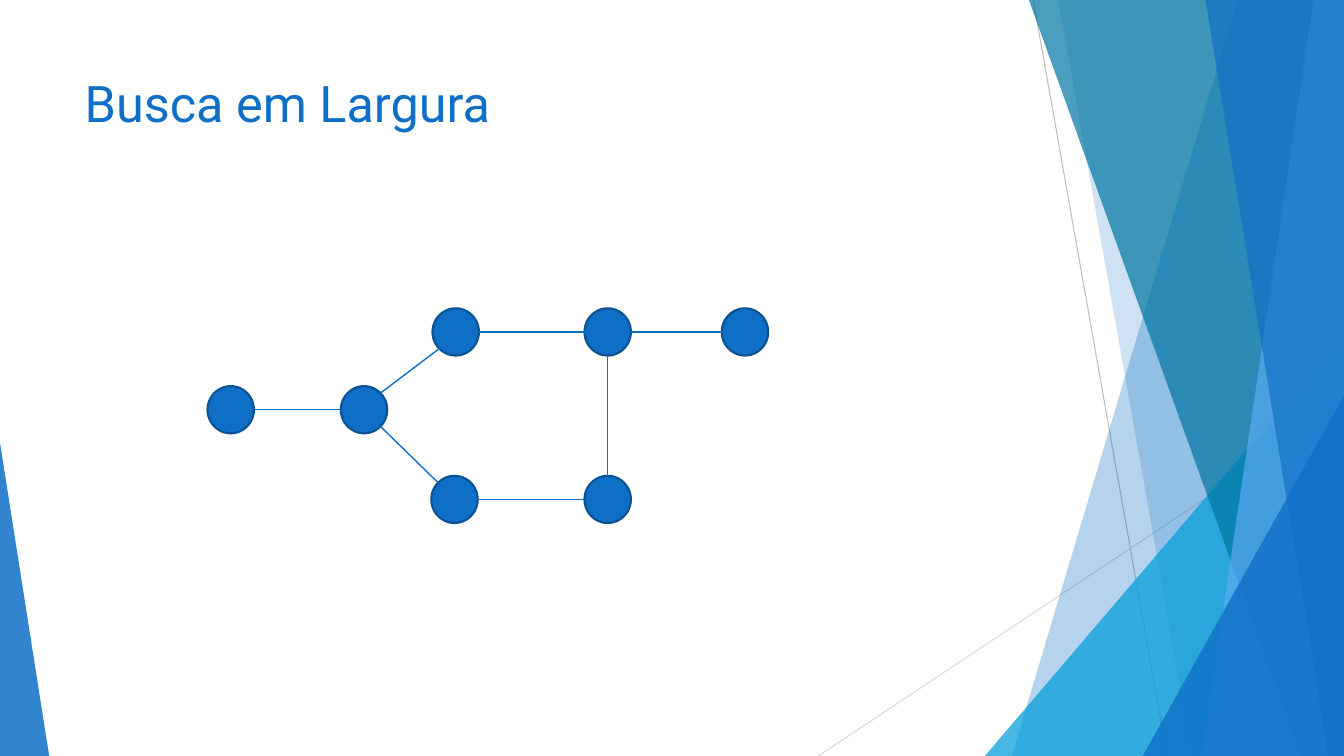
from lxml import etree
from pptx import Presentation
from pptx.dml.color import RGBColor
from pptx.enum.shapes import MSO_CONNECTOR, MSO_SHAPE
from pptx.enum.text import MSO_ANCHOR, PP_ALIGN
from pptx.oxml.ns import qn
from pptx.util import Cm, Pt

STRAIGHT = MSO_CONNECTOR.STRAIGHT
OVAL = MSO_SHAPE.OVAL
TRIANGLE = MSO_SHAPE.ISOSCELES_TRIANGLE
TOP, LEFT = MSO_ANCHOR.TOP, PP_ALIGN.LEFT

COLORS = {
    "blue": "0F6FC6", "outline": "0B5292", "cyan": "009DD9", "teal": "0076A3",
    "sky": "59AAF2", "gray": "BFBFBF", "pale": "D9D9D9",
}
WIDTH, HEIGHT = 33.87, 19.05
NODE_W, NODE_H = 1.17, 1.19

# Top left corner of each graph node, in cm
NODES = {
    "start": (5.23, 9.73), "fork": (8.59, 9.73),
    "upper": (10.9, 7.77), "lower": (10.87, 11.99),
    "upper_right": (14.73, 7.77), "lower_right": (14.73, 11.99),
    "end": (18.19, 7.77),
}
# Where an edge meets a node, as fractions of its width and height
SITES = {
    "top": (0.5, 0), "bottom": (0.5, 1), "left": (0, 0.5), "right": (1, 0.5),
    "top_right": (0.85, 0.15), "bottom_right": (0.85, 0.85),
    "top_left": (0.15, 0.15), "bottom_left": (0.15, 0.85),
}
EDGES = [
    ("upper", "bottom_left", "fork", "top_right"),
    ("fork", "bottom_right", "lower", "top_left"),
    ("lower", "right", "lower_right", "left"),
    ("upper", "right", "upper_right", "left"),
    ("upper_right", "bottom", "lower_right", "top"),
    ("fork", "left", "start", "right"),
    ("upper_right", "right", "end", "left"),
]


def rgb(name):
    return RGBColor.from_string(COLORS[name])


def paint(sp, color, alpha=100):
    """Fill a shape, with its opacity in percent, and drop line and shadow."""
    sp.shadow.inherit = False
    sp.line.fill.background()
    sp.fill.solid()
    sp.fill.fore_color.rgb = rgb(color)
    if alpha < 100:
        clr = sp._element.spPr.find(qn("a:solidFill"))[0]
        etree.SubElement(clr, qn("a:alpha")).set("val", str(alpha * 1000))


def add_line(shapes, begin, end, color, width):
    line = shapes.add_connector(STRAIGHT, *map(Cm, begin + end))
    line.line.color.rgb = rgb(color)
    line.line.width = Pt(width)
    etree.SubElement(line._element.spPr, qn("a:effectLst"))


def add_band(shapes, top_x, bottom_x, color, alpha):
    """Full-height band from a slanted left side to the right slide edge."""
    builder = shapes.build_freeform(Cm(top_x), 0)
    corners = [(WIDTH, 0), (WIDTH, HEIGHT), (bottom_x, HEIGHT)]
    builder.add_line_segments([(Cm(x), Cm(y)) for x, y in corners])
    paint(builder.convert_to_shape(), color, alpha)


def add_corner(shapes, left, top, right, apex, color, alpha):
    """Right triangle standing on the bottom slide edge."""
    sp = shapes.add_shape(TRIANGLE, Cm(left), Cm(top), Cm(right - left), Cm(HEIGHT - top))
    sp.adjustments[0] = apex
    paint(sp, color, alpha)


def add_node(shapes, x, y):
    sp = shapes.add_shape(OVAL, Cm(x), Cm(y), Cm(NODE_W), Cm(NODE_H))
    paint(sp, "blue")
    sp.line.color.rgb = rgb("outline")
    sp.line.width = Pt(1.5)


def site(node, side):
    x, y = NODES[node]
    fx, fy = SITES[side]
    return x + fx * NODE_W, y + fy * NODE_H


def set_text(tf, text, size, color, font="Roboto", anchor=TOP, align=LEFT):
    tf.word_wrap = True
    tf.vertical_anchor = anchor
    p = tf.paragraphs[0]
    p.alignment = align
    r = p.add_run()
    r.text = text
    r.font.name = font
    r.font.size = Pt(size)
    r.font.color.rgb = rgb(color)


def add_decoration(shapes):
    add_line(shapes, (26.04, 0), (29.41, HEIGHT), "gray", 0.75)
    add_line(shapes, (WIDTH, 10.24), (20.62, HEIGHT), "pale", 0.75)
    add_band(shapes, 31.19, 25.5, "blue", 30)
    add_band(shapes, 26.67, 30.05, "blue", 20)
    add_corner(shapes, 24.82, 8.46, WIDTH, 1, "cyan", 72)
    add_band(shapes, 25.93, 32.79, "teal", 70)
    add_band(shapes, 33.1, 30.28, "sky", 70)
    add_band(shapes, 30.38, 33.48, "blue", 65)
    add_corner(shapes, 28.8, 9.98, WIDTH, 1, "blue", 80)
    add_corner(shapes, 0, 11.15, 1.24, 0, "blue", 85)


def main():
    prs = Presentation()
    prs.slide_width, prs.slide_height = Cm(WIDTH), Cm(HEIGHT)
    slide = prs.slides.add_slide(prs.slide_layouts[5])
    shapes = slide.shapes

    add_decoration(shapes)

    title = shapes.title
    title.left, title.top = Cm(1.88), Cm(1.7)
    title.width, title.height = Cm(23.88), Cm(3.66)
    set_text(title.text_frame, "Busca em Largura", size=36, color="blue")

    for x, y in NODES.values():
        add_node(shapes, x, y)
    for node_a, side_a, node_b, side_b in EDGES:
        add_line(shapes, site(node_a, side_a), site(node_b, side_b), "blue", 1)

    prs.save("out.pptx")


if __name__ == "__main__":
    main()
